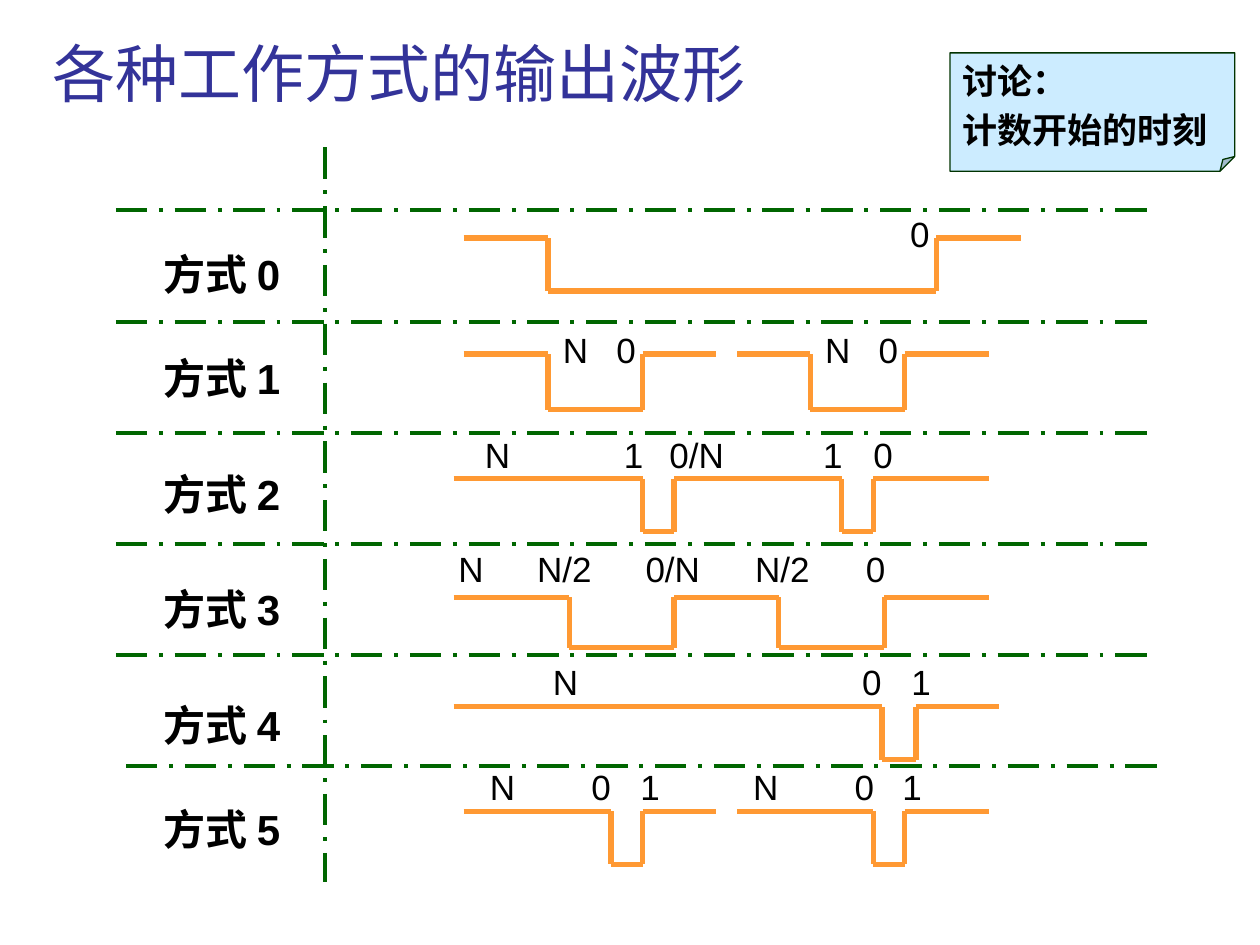
import pptx
import pptx.util
from pptx.dml.color import RGBColor
from pptx.enum.dml import MSO_LINE
from pptx.enum.shapes import MSO_CONNECTOR, MSO_SHAPE
from pptx.enum.text import MSO_ANCHOR, PP_ALIGN
from pptx.oxml import parse_xml
from pptx.oxml.ns import nsdecls, qn

Inches = pptx.util.Inches

BLACK = RGBColor(0x00, 0x00, 0x00)
TITLE_BLUE = RGBColor(0x33, 0x33, 0x99)
GRID_GREEN = RGBColor(0x00, 0x66, 0x00)
WAVE_ORANGE = RGBColor(0xFF, 0x99, 0x33)
NOTE_FILL = RGBColor(0xCC, 0xEC, 0xFF)
NOTE_LINE = RGBColor(0x00, 0x33, 0x00)

TITLE = "各种工作方式的输出波形"
NOTE = ["讨论：", "计数开始的时刻"]

# Each trace lists x values: start, alternating falling and rising edges, end.
# Each label is its text and the x of its centre.
MODES = [
    {"name": "方式 0", "name_top": 1.92, "high": 1.89, "low": 2.31, "label_top": 1.64,
     "traces": [[3.68, 4.35, 7.43, 8.1]],
     "labels": [("0", 7.3)]},
    {"name": "方式 1", "name_top": 2.75, "high": 2.81, "low": 3.25, "label_top": 2.56,
     "traces": [[3.68, 4.35, 5.1, 5.68], [5.85, 6.43, 7.18, 7.85]],
     "labels": [("N", 4.55), ("0", 4.97), ("N", 6.63), ("0", 7.05)]},
    {"name": "方式 2", "name_top": 3.67, "high": 3.8, "low": 4.22, "label_top": 3.39,
     "traces": [[3.6, 5.1, 5.35, 6.68, 6.93, 7.85]],
     "labels": [("N", 3.93), ("1", 5.03), ("0/N", 5.53), ("1", 6.61), ("0", 7.01)]},
    {"name": "方式 3", "name_top": 4.58, "high": 4.74, "low": 5.14, "label_top": 4.3,
     "traces": [[3.6, 4.52, 5.35, 6.18, 7.02, 7.85]],
     "labels": [("N", 3.72), ("N/2", 4.48), ("0/N", 5.34), ("N/2", 6.21), ("0", 6.95)]},
    {"name": "方式 4", "name_top": 5.5, "high": 5.61, "low": 6.03, "label_top": 5.19,
     "traces": [[3.6, 7.0, 7.27, 7.93]],
     "labels": [("N", 4.47), ("0", 6.92), ("1", 7.31)]},
    {"name": "方式 5", "name_top": 6.33, "high": 6.44, "low": 6.86, "label_top": 6.03,
     "traces": [[3.68, 4.85, 5.1, 5.68], [5.85, 6.93, 7.18, 7.85]],
     "labels": [("N", 3.97), ("0", 4.77), ("1", 5.16),
                ("N", 6.06), ("0", 6.86), ("1", 7.24)]},
]

deck = pptx.Presentation()
deck.slide_width, deck.slide_height = Inches(10), Inches(7.5)
page = deck.slides.add_slide(deck.slide_layouts[6])


def add_line(x1, y1, x2, y2, color, width, dash=None):
    line = page.shapes.add_connector(
        MSO_CONNECTOR.STRAIGHT, Inches(x1), Inches(y1), Inches(x2), Inches(y2))
    line.line.color.rgb = color
    line.line.width = pptx.util.Pt(width)
    if dash:
        line.line.dash_style = dash
    line._element.spPr.append(parse_xml(f"<a:effectLst {nsdecls('a')}/>"))


def write(paragraph, text, size, font, color=BLACK, bold=False):
    span = paragraph.add_run()
    span.text = text
    span.font.size = pptx.util.Pt(size)
    span.font.name = font
    span.font.bold = bold
    span.font.color.rgb = color


def add_text(left, top, width, height, text, size, font="Arial", color=BLACK,
             bold=False, wrap=False, align=PP_ALIGN.CENTER, anchor=MSO_ANCHOR.MIDDLE):
    box = page.shapes.add_textbox(Inches(left), Inches(top), Inches(width), Inches(height))
    frame = box.text_frame
    frame.word_wrap = wrap
    frame.vertical_anchor = anchor
    frame.paragraphs[0].alignment = align
    write(frame.paragraphs[0], text, size, font, color, bold)


# Title
add_text(0.32, 0, 6.79, 0.92, TITLE, 36, "Cabin", TITLE_BLUE, wrap=True,
         align=PP_ALIGN.LEFT, anchor=MSO_ANCHOR.BOTTOM)

# Dividers: one above each mode, the last set slightly to the right
ROW_TOP, ROW_BOTTOM = 1.67, 6.08
row_step = (ROW_BOTTOM - ROW_TOP) / (len(MODES) - 1)
for row in range(len(MODES)):
    left = 1.0 if row == len(MODES) - 1 else 0.92
    y = ROW_TOP + row * row_step
    add_line(left, y, left + 8.25, y, GRID_GREEN, 2.25, MSO_LINE.LONG_DASH_DOT)
add_line(2.58, 1.17, 2.58, 7, GRID_GREEN, 2.25, MSO_LINE.LONG_DASH_DOT)

# Modes: name, waveform and count labels
for mode in MODES:
    add_text(1.19, mode["name_top"], 1.14, 0.5, mode["name"], 24, bold=True, wrap=True)
    for trace in mode["traces"]:
        level, other = mode["high"], mode["low"]
        for start, end in zip(trace, trace[1:]):
            add_line(start, level, end, level, WAVE_ORANGE, 3)
            if end != trace[-1]:
                add_line(end, mode["high"], end, mode["low"], WAVE_ORANGE, 3)
            level, other = other, level
    for text, center in mode["labels"]:
        width = 0.22 + 0.14 * len(text)
        add_text(center - width / 2, mode["label_top"], width, 0.43, text, 20)

# Discussion note, its fold an eighth of the height
note = page.shapes.add_shape(
    MSO_SHAPE.FOLDED_CORNER, Inches(7.54), Inches(0.42), Inches(2.26), Inches(0.94))
guides = note._element.spPr.find(qn("a:prstGeom")).find(qn("a:avLst"))
guides.append(parse_xml(f'<a:gd {nsdecls("a")} name="adj" fmla="val 12500"/>'))
note.shadow.inherit = False
note.fill.solid()
note.fill.fore_color.rgb = NOTE_FILL
note.line.color.rgb = NOTE_LINE
note.line.width = pptx.util.Pt(0.75)
frame = note.text_frame
frame.word_wrap = False
frame.vertical_anchor = MSO_ANCHOR.MIDDLE
for index, text in enumerate(NOTE):
    paragraph = frame.add_paragraph() if index else frame.paragraphs[0]
    paragraph.alignment = PP_ALIGN.JUSTIFY
    if index:
        paragraph.space_before = pptx.util.Pt(4)
    write(paragraph, text, 20, "Times New Roman", bold=True)

deck.save("out.pptx")
